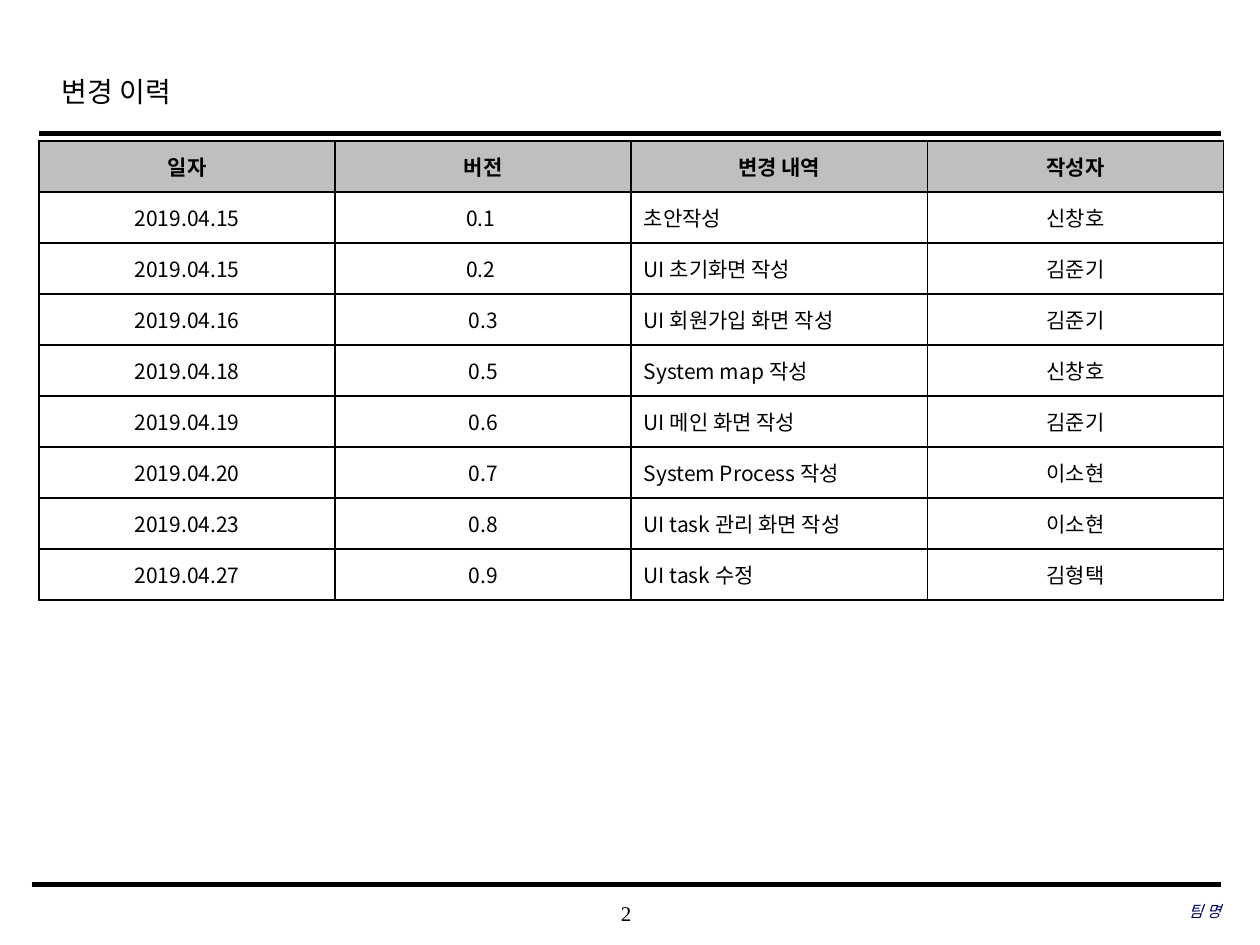
from lxml.etree import SubElement
from pptx import Presentation
from pptx.dml.color import RGBColor
from pptx.enum.shapes import MSO_CONNECTOR
from pptx.enum.text import MSO_ANCHOR, PP_ALIGN
from pptx.oxml.ns import qn
from pptx.util import Inches, Pt

KOREAN_FONT = "Noto Sans CJK KR"
SERIF_FONT = "Times New Roman"
HEADERS = ("일자", "버전", "변경 내역", "작성자")
REVISIONS = (
    ("2019.04.15", "0.1 ", "초안작성", "신창호"),
    ("2019.04.15", "0.2 ", "UI 초기화면 작성", "김준기"),
    ("2019.04.16", "0.3", "UI 회원가입 화면 작성", "김준기"),
    ("2019.04.18", "0.5", "System map 작성", "신창호"),
    ("2019.04.19", "0.6", "UI 메인 화면 작성", "김준기"),
    ("2019.04.20", "0.7", "System Process 작성", "이소현"),
    ("2019.04.23", "0.8", "UI task 관리 화면 작성", "이소현"),
    ("2019.04.27", "0.9", "UI task 수정", "김형택"),
)
DESCRIPTION_COLUMN = 2
COLUMN_WIDTH = 2.35
ROW_HEIGHT = 0.405


def color(value):
    """Return the colour for a hex string."""
    return RGBColor.from_string(value)


def add_run(paragraph, text, size, font=SERIF_FONT, fill="000000", bold=False, italic=False):
    """Add one formatted run with Latin and East Asian fonts."""
    run = paragraph.add_run()
    run.text = text
    run.font.size = Pt(size)
    run.font.name = font
    run.font.bold = bold
    run.font.italic = italic
    run.font.color.rgb = color(fill)
    east_asian = SubElement(run.font._element, qn("a:ea"))
    east_asian.set("typeface", KOREAN_FONT)


def set_title(slide, text):
    """Place and format the title placeholder."""
    title = slide.shapes.title
    title.left, title.top = Inches(0.39), Inches(0.49)
    title.width, title.height = Inches(7.55), Inches(0.5)
    title.text_frame.vertical_anchor = MSO_ANCHOR.TOP
    paragraph = title.text_frame.paragraphs[0]
    paragraph.alignment = PP_ALIGN.LEFT
    paragraph.line_spacing = 1.2
    add_run(paragraph, text, 16)


def add_rule(slide, left, top, weight):
    """Draw a horizontal rule that ends at the right margin."""
    rule = slide.shapes.add_connector(
        MSO_CONNECTOR.STRAIGHT, Inches(left), Inches(top), Inches(9.69), Inches(top)
    )
    rule.line.color.rgb = color("000000")
    rule.line.width = Pt(weight)
    SubElement(rule._element.spPr, qn("a:effectLst"))


def add_footer(slide, left, top, width, text, alignment, **style):
    """Add a footer text box without insets."""
    box = slide.shapes.add_textbox(Inches(left), Inches(top), Inches(width), Inches(0.33))
    frame = box.text_frame
    frame.word_wrap = True
    frame.vertical_anchor = MSO_ANCHOR.MIDDLE
    frame.margin_left = frame.margin_right = frame.margin_top = frame.margin_bottom = 0
    paragraph = frame.paragraphs[0]
    paragraph.alignment = alignment
    add_run(paragraph, text, **style)


def add_borders(cell):
    """Put thin black borders around a cell, ahead of its fill."""
    properties = cell._tc.get_or_add_tcPr()
    for position, side in enumerate(("lnL", "lnR", "lnT", "lnB")):
        border = SubElement(properties, qn(f"a:{side}"), w=str(Pt(1)))
        fill = SubElement(border, qn("a:solidFill"))
        SubElement(fill, qn("a:srgbClr"), val="000000")
        properties.insert(position, border)


def fill_cell(cell, text, alignment, is_header):
    """Write and format one table cell."""
    cell.fill.solid()
    cell.fill.fore_color.rgb = color("BFBFBF" if is_header else "FFFFFF")
    cell.vertical_anchor = MSO_ANCHOR.MIDDLE
    paragraph = cell.text_frame.paragraphs[0]
    paragraph.alignment = alignment
    add_run(paragraph, text, 12, KOREAN_FONT, bold=is_header)
    add_borders(cell)


def add_revision_table(slide):
    """Add the revision history table."""
    rows = (HEADERS, *REVISIONS)
    table = slide.shapes.add_table(
        len(rows), len(HEADERS), Inches(0.31), Inches(1.12),
        Inches(COLUMN_WIDTH * len(HEADERS)), Inches(ROW_HEIGHT * len(rows)),
    ).table
    for column in table.columns:
        column.width = Inches(COLUMN_WIDTH)
    for row_index, values in enumerate(rows):
        is_header = row_index == 0
        table.rows[row_index].height = Inches(ROW_HEIGHT)
        for column_index, text in enumerate(values):
            is_description = column_index == DESCRIPTION_COLUMN and not is_header
            alignment = PP_ALIGN.LEFT if is_description else PP_ALIGN.CENTER
            fill_cell(table.cell(row_index, column_index), text, alignment, is_header)


def main():
    """Build the revision history slide."""
    presentation = Presentation()
    presentation.slide_width, presentation.slide_height = Inches(10), Inches(7.5)
    slide = presentation.slides.add_slide(presentation.slide_layouts[5])
    add_footer(slide, 3.93, 7.08, 2.08, "2", PP_ALIGN.CENTER, size=12)
    add_rule(slide, 0.31, 1.06, 2.5)
    add_rule(slide, 0.25, 7.02, 3)
    set_title(slide, "변경 이력")
    add_revision_table(slide)
    add_footer(slide, 6.63, 7.07, 3.06, "팀 명", PP_ALIGN.RIGHT, size=9, fill="000066", italic=True)
    presentation.save("out.pptx")


if __name__ == "__main__":
    main()
